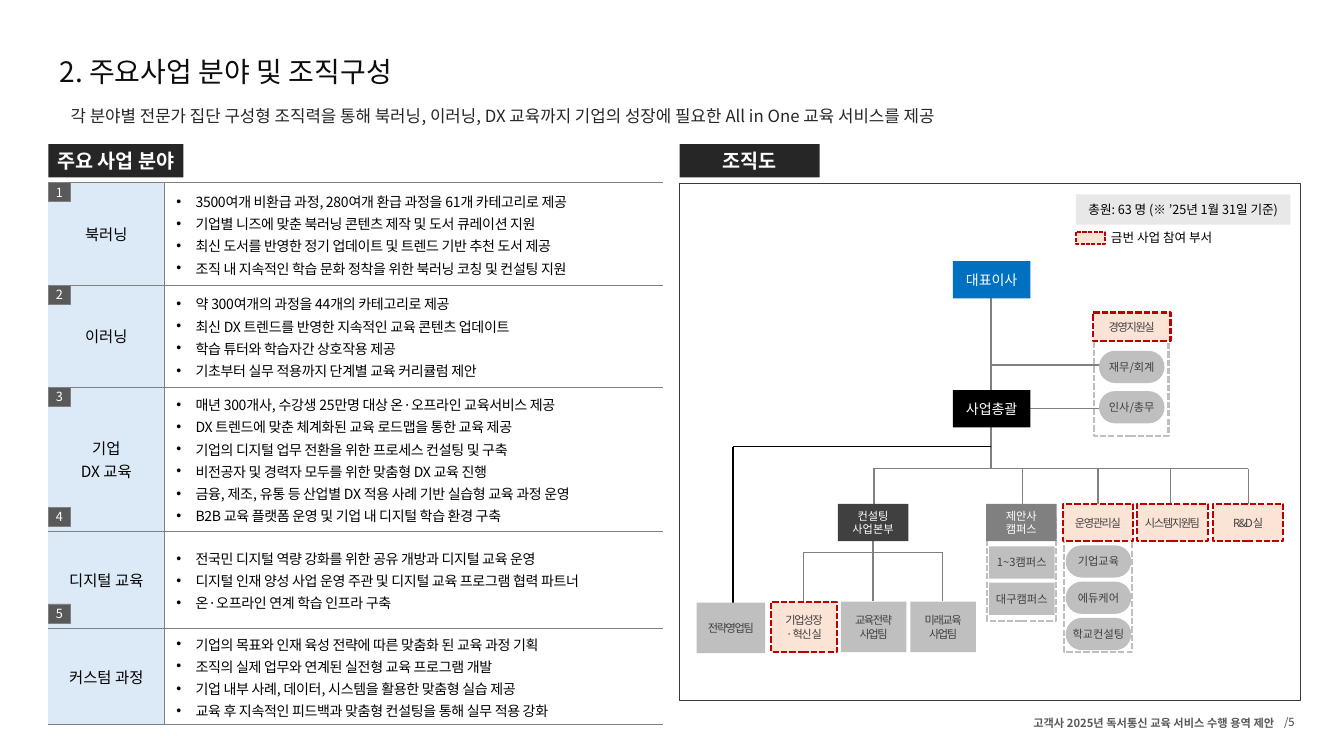
from lxml import etree
from pptx import Presentation, util as u
from pptx.dml.color import RGBColor
from pptx.enum import dml, shapes, text
from pptx.oxml.ns import qn

FONT = "Noto Sans CJK KR"
WHITE = RGBColor(0xFF, 0xFF, 0xFF)
BLACK = RGBColor(0x00, 0x00, 0x00)
INK = RGBColor(0x0D, 0x0D, 0x0D)
HEADER = RGBColor(0x26, 0x26, 0x26)
FRAME = RGBColor(0x3A, 0x3A, 0x3A)
DARK = RGBColor(0x40, 0x40, 0x40)
SLATE = RGBColor(0x59, 0x59, 0x59)
GRAY = RGBColor(0x80, 0x80, 0x80)
SILVER = RGBColor(0xBF, 0xBF, 0xBF)
PALE = RGBColor(0xE8, 0xE8, 0xE8)
SKY = RGBColor(0xDC, 0xEA, 0xF7)
BLUE = RGBColor(0x00, 0x70, 0xC0)
PEACH = RGBColor(0xFB, 0xE3, 0xD6)
RED = RGBColor(0xC0, 0x00, 0x00)
LEFT, CENTER, RIGHT = text.PP_ALIGN.LEFT, text.PP_ALIGN.CENTER, text.PP_ALIGN.RIGHT
MIDDLE = text.MSO_ANCHOR.MIDDLE
RECT, PILL = shapes.MSO_SHAPE.RECTANGLE, shapes.MSO_SHAPE.ROUNDED_RECTANGLE


def style_text(frame, size, color, align=CENTER, bold=False, tracking=0):
    """Format every paragraph without kerning; tracking is in hundredths of a point."""
    for paragraph in frame.paragraphs:
        paragraph.alignment = align
        font = paragraph.font
        font.size, font.bold, font.name = u.Pt(size), bold, FONT
        font.color.rgb = color
        properties = paragraph._p.pPr.find(qn("a:defRPr"))
        properties.set("spc", str(tracking))
        properties.set("kern", "0")
        etree.SubElement(properties, qn("a:ea"), typeface=FONT)


def add_box(place, label="", fill=None, line=None, width=1.5, dashed=True,
            kind=RECT, size=8, color=DARK, bold=False, tracking=0):
    shape = slide.shapes.add_shape(kind, *map(u.Inches, place))
    shape.shadow.inherit = False
    if kind == PILL:
        shape.adjustments[0] = 0.5
    if fill is None:
        shape.fill.background()
    else:
        shape.fill.solid()
        shape.fill.fore_color.rgb = fill
    if line is None:
        shape.line.fill.background()
    else:
        shape.line.color.rgb = line
        shape.line.width = u.Pt(width)
        if dashed:
            shape.line.dash_style = dml.MSO_LINE.SQUARE_DOT
    if label:
        frame = shape.text_frame
        frame.text = label
        frame.word_wrap = False
        frame.vertical_anchor = MIDDLE
        style_text(frame, size, color, bold=bold, tracking=tracking)


presentation = Presentation()
presentation.slide_width, presentation.slide_height = u.Inches(13.33), u.Inches(7.5)
slide = presentation.slides.add_slide(presentation.slide_layouts[5])

# Title, lead sentence, footer and legend text
title = slide.shapes.title
title.left, title.top, title.width, title.height = map(u.Inches, (0.55, 0.47, 10.02, 0.47))
frame = title.text_frame
frame.text = "2. 주요사업 분야 및 조직구성"
frame.margin_left = frame.margin_right = frame.margin_top = frame.margin_bottom = u.Inches(0.04)
frame.word_wrap, frame.vertical_anchor = False, MIDDLE
frame.auto_size = text.MSO_AUTO_SIZE.NONE
style_text(frame, 20, INK, LEFT)

lead = slide.shapes.add_textbox(*map(u.Inches, (0.7, 1.01, 12.19, 0.8))).text_frame
lead.text = ("각 분야별 전문가 집단 구성형 조직력을 통해 북러닝, 이러닝, DX 교육까지 "
             "기업의 성장에 필요한 All in One 교육 서비스를 제공")
lead.margin_left = lead.margin_right = lead.margin_top = lead.margin_bottom = 0
lead.word_wrap = True
lead.paragraphs[0].line_spacing = 1.2
style_text(lead, 12, HEADER, LEFT)

for place, label, size, color, align, bold in [
    ((12.45, 7.04, 0.49, 0.25), "/5", 8, DARK, RIGHT, False),
    ((10.01, 7.05, 2.73, 0.24), "고객사 2025년 독서통신 교육 서비스 수행 용역 제안", 8, SLATE, RIGHT, True),
    ((10.92, 2.23, 1.25, 0.25), "금번 사업 참여 부서", 9, BLACK, LEFT, False),
]:
    frame = slide.shapes.add_textbox(*map(u.Inches, place)).text_frame
    frame.text = label
    frame.word_wrap, frame.vertical_anchor = False, MIDDLE
    style_text(frame, size, color, align, bold)

# Business areas: name, row height, top of the number badge, points
areas = [
    ("북러닝", 1.02, 1.81, ["3500여개 비환급 과정, 280여개 환급 과정을 61개 카테고리로 제공",
                         "기업별 니즈에 맞춘 북러닝 콘텐츠 제작 및 도서 큐레이션 지원",
                         "최신 도서를 반영한 정기 업데이트 및 트렌드 기반 추천 도서 제공",
                         "조직 내 지속적인 학습 문화 정착을 위한 북러닝 코칭 및 컨설팅 지원"]),
    ("이러닝", 1.01, 2.83, ["약 300여개의 과정을 44개의 카테고리로 제공",
                         "최신 DX 트렌드를 반영한 지속적인 교육 콘텐츠 업데이트",
                         "학습 튜터와 학습자간 상호작용 제공",
                         "기초부터 실무 적용까지 단계별 교육 커리큘럼 제안"]),
    ("기업\nDX 교육", 1.43, 3.84, ["매년 300개사, 수강생 25만명 대상 온·오프라인 교육서비스 제공",
                               "DX 트렌드에 맞춘 체계화된 교육 로드맵을 통한 교육 제공",
                               "기업의 디지털 업무 전환을 위한 프로세스 컨설팅 및 구축",
                               "비전공자 및 경력자 모두를 위한 맞춤형 DX 교육 진행",
                               "금융, 제조, 유통 등 산업별 DX 적용 사례 기반 실습형 교육 과정 운영",
                               "B2B 교육 플랫폼 운영 및 기업 내 디지털 학습 환경 구축"]),
    ("디지털 교육", 0.96, 5.03, ["전국민 디지털 역량 강화를 위한 공유 개방과 디지털 교육 운영",
                            "디지털 인재 양성 사업 운영 주관 및 디지털 교육 프로그램 협력 파트너",
                            "온·오프라인 연계 학습 인프라 구축"]),
    ("커스텀 과정", 0.96, 5.99, ["기업의 목표와 인재 육성 전략에 따른 맞춤화 된 교육 과정 기획",
                            "조직의 실제 업무와 연계된 실전형 교육 프로그램 개발",
                            "기업 내부 사례, 데이터, 시스템을 활용한 맞춤형 실습 제공",
                            "교육 후 지속적인 피드백과 맞춤형 컨설팅을 통해 실무 적용 강화"]),
]
TABLE_LEFT, TABLE_TOP = 0.48, 1.81
table_height = sum(height for _, height, _, _ in areas)
table = slide.shapes.add_table(
    len(areas), 2, *map(u.Inches, (TABLE_LEFT, TABLE_TOP, 6.1, table_height))).table
table.first_row = table.horz_banding = False
table.columns[0].width, table.columns[1].width = u.Inches(1.15), u.Inches(4.95)

for row, (name, height, badge_top, points) in enumerate(areas):
    table.rows[row].height = u.Inches(height)
    last = row == len(areas) - 1
    for column, (content, fill, open_side) in enumerate(
            [(name, SKY, "lnL"), ("\n".join(points), WHITE, "lnR")]):
        cell = table.cell(row, column)
        cell.text_frame.text = content
        cell.vertical_anchor = MIDDLE
        cell.margin_left = u.Inches(0.12 if column else 0.04)
        cell.margin_right = u.Inches(0 if column else 0.04)
        cell.margin_top = cell.margin_bottom = u.Inches(0 if column and last else 0.05)
        properties = cell._tc.get_or_add_tcPr()
        for side in ("lnL", "lnR", "lnT", "lnB"):
            border = etree.SubElement(properties, qn(f"a:{side}"), w=str(u.Pt(0.5)))
            if side == open_side:
                etree.SubElement(border, qn("a:noFill"))
            else:
                solid = etree.SubElement(border, qn("a:solidFill"))
                etree.SubElement(solid, qn("a:srgbClr"), val=str(GRAY))
        cell.fill.solid()
        cell.fill.fore_color.rgb = fill
        if column == 0:
            style_text(cell.text_frame, 11, BLACK)
            continue
        for paragraph in cell.text_frame.paragraphs:
            paragraph.line_spacing = 1.1
            layout = paragraph._p.get_or_add_pPr()
            layout.set("marL", str(u.Inches(0.19)))
            layout.set("indent", str(-u.Inches(0.19)))
            etree.SubElement(layout, qn("a:buFont"), typeface="Arial")
            etree.SubElement(layout, qn("a:buChar"), char="•")
        style_text(cell.text_frame, 10, BLACK, LEFT, tracking=-20)
    add_box((TABLE_LEFT, badge_top, 0.22, 0.19), str(row + 1), SLATE, GRAY, 0.25,
            dashed=False, size=9, color=WHITE)

# Section headers and organisation panel
for left, width, label in [(TABLE_LEFT, 1.34, "주요 사업 분야"), (6.74, 1.39, "조직도")]:
    add_box((left, 1.43, width, 0.33), label, HEADER, size=14, color=WHITE, bold=True)
add_box((6.74, 1.82, 6.16, 5.13), line=FRAME, width=0.25, dashed=False)
add_box((10.67, 1.93, 2.13, 0.3), "총원: 63 명 (※ ’25년 1월 31일 기준)", PALE, size=9, color=BLACK)
add_box((10.67, 2.3, 0.29, 0.12), fill=PEACH, line=RED, width=1)
for place in [(10.55, 5.14, 0.68, 1.33), (9.79, 5.14, 0.68, 1.02), (10.85, 3.21, 0.74, 1.12)]:
    add_box(place, line=SILVER)

# Reporting lines
TRUNK, DIVISION_BUS, TEAM_BUS = 9.83, 4.65, 5.48
lines = [(TRUNK, 2.96, TRUNK, 3.87, GRAY), (TRUNK, 4.17, TRUNK, DIVISION_BUS, GRAY),
         (TRUNK, 3.62, 10.94, 3.62, GRAY), (TRUNK, 4.05, 10.94, 4.05, GRAY),
         (8.66, DIVISION_BUS, 12.38, DIVISION_BUS, GRAY), (7.97, TEAM_BUS, 9.35, TEAM_BUS, GRAY),
         (8.66, 5.37, 8.66, TEAM_BUS, GRAY),
         (7.27, 4.43, TRUNK, 4.43, BLACK), (7.27, 4.43, 7.27, 6.08, BLACK)]
lines += [(x, DIVISION_BUS, x, 5.13, GRAY) for x in (8.67, 10.14, 10.89, 11.61, 12.38)]
lines += [(x, TEAM_BUS, x, 5.96, GRAY) for x in (7.97, 8.66, 9.35)]
for *ends, color in lines:
    connector = slide.shapes.add_connector(shapes.MSO_CONNECTOR.STRAIGHT, *map(u.Inches, ends))
    connector.line.color.rgb = color
    connector.line.width = u.Pt(1)
    etree.SubElement(connector._element.spPr, qn("a:effectLst"))

# Units
for top, label, fill in [(2.59, "대표이사", BLUE), (3.87, "사업총괄", BLACK)]:
    add_box((9.45, top, 0.77, 0.37), label, fill, size=10, color=WHITE)
for left, label, fill in [(8.31, "컨설팅\n사업본부", DARK), (9.78, "제안사\n캠퍼스", GRAY)]:
    add_box((left, 5, 0.7, 0.37), label, fill, color=WHITE)
for place, label in [((10.84, 3.1, 0.77, 0.28), "경영지원실"), ((10.54, 5, 0.7, 0.37), "운영관리실"),
                     ((11.28, 5, 0.7, 0.37), "시스템지원팀"), ((12.03, 5, 0.7, 0.37), "R&D실"),
                     ((7.65, 5.97, 0.65, 0.5), "기업성장\n·혁신 실")]:
    add_box(place, label, PEACH, RED, tracking=-100)
for place, label in [((6.91, 5.98, 0.68, 0.5), "전략영업팀"), ((8.34, 5.97, 0.65, 0.5), "교육전략\n사업팀"),
                     ((9.03, 5.97, 0.65, 0.5), "미래교육\n사업팀")]:
    add_box(place, label, SILVER, tracking=-100)
for left, top, pitch, kind, labels in [(10.9, 3.48, 0.4, PILL, ["재무/회계", "인사/총무"]),
                                       (9.81, 5.42, 0.36, RECT, ["1~3캠퍼스", "대구캠퍼스"]),
                                       (10.57, 5.41, 0.36, PILL, ["기업교육", "에듀케어", "학교컨설팅"])]:
    for index, label in enumerate(labels):
        add_box((left, top + index * pitch, 0.65, 0.32), label, SILVER, kind=kind)

presentation.save("out.pptx")
